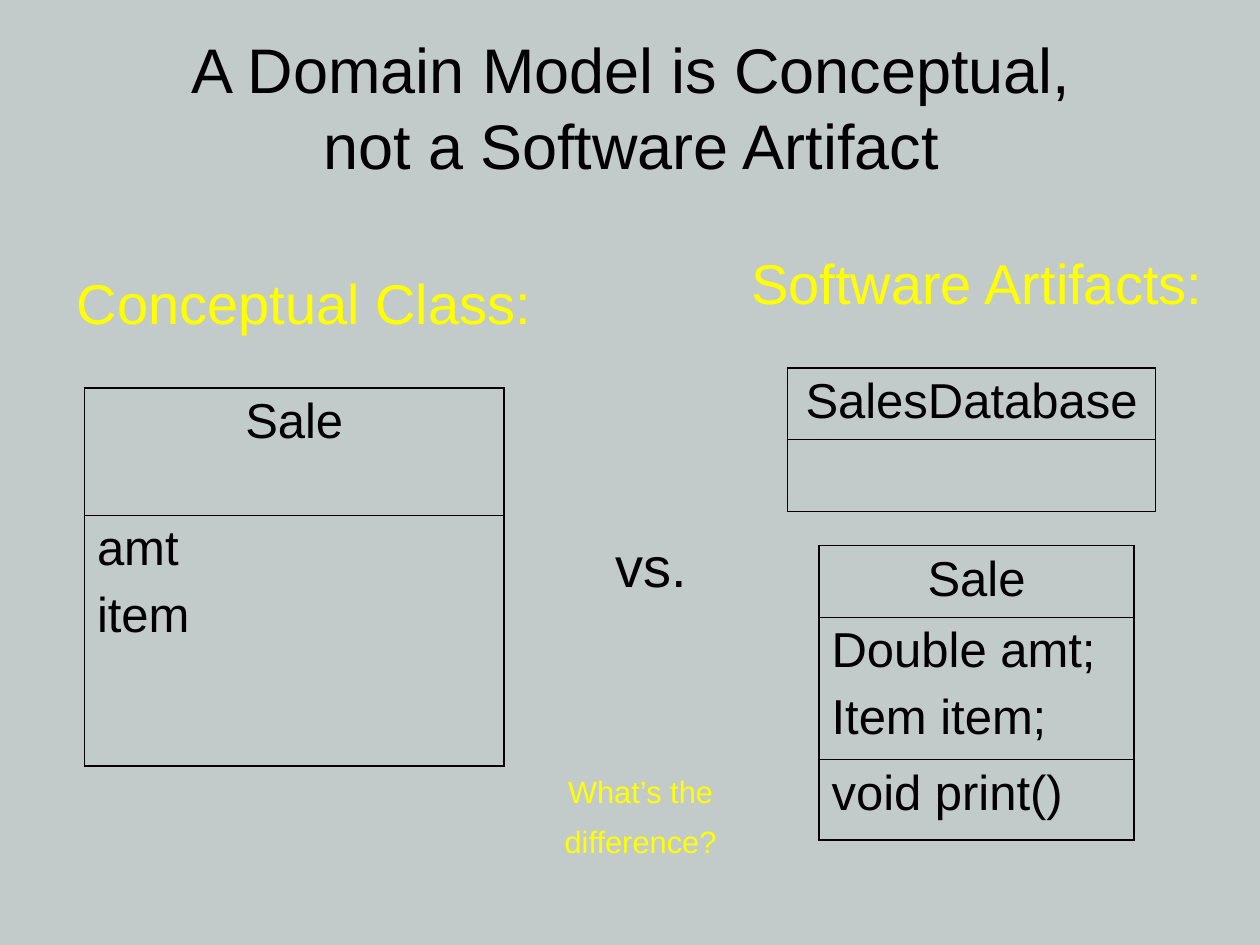
from lxml import etree
from pptx import Presentation
from pptx.dml.color import RGBColor
from pptx.enum.text import MSO_ANCHOR, MSO_AUTO_SIZE, PP_ALIGN
from pptx.oxml.ns import qn
from pptx.util import Inches, Pt

CENTER, LEFT = PP_ALIGN.CENTER, PP_ALIGN.LEFT
TOP, MIDDLE = MSO_ANCHOR.TOP, MSO_ANCHOR.MIDDLE
NO_AUTOFIT = MSO_AUTO_SIZE.NONE

FONT = "Arial"
BACKGROUND, BLACK, YELLOW = "C3CBCA", "000000", "FFFF00"
OUTER_LINE, INNER_LINE = 1.08, 0.45


def color(hex_value):
    return RGBColor.from_string(hex_value)


def write(frame, lines, size, hex_value, align=CENTER, gap=8):
    """Fill a text frame with one paragraph a line, spaced by gap points."""
    frame.text = "\n".join(lines)
    for index, paragraph in enumerate(frame.paragraphs):
        paragraph.alignment = align
        paragraph.space_before = Pt(gap if index else 0)
        for run in paragraph.runs:
            run.font.name = FONT
            run.font.size = Pt(size)
            run.font.color.rgb = color(hex_value)


def place(shape, box):
    shape.left, shape.top, shape.width, shape.height = map(Inches, box)


def add_title(slide, box, text):
    title = slide.shapes.title
    place(title, box)
    title.text_frame.auto_size = NO_AUTOFIT
    title.text_frame.vertical_anchor = MIDDLE
    write(title.text_frame, [text], 36, BLACK)


def add_body_heading(slide, box, text):
    heading = slide.placeholders[1]
    place(heading, box)
    frame = heading.text_frame
    frame.auto_size = NO_AUTOFIT
    write(frame, [text], 32, YELLOW)
    properties = frame.paragraphs[0]._p.get_or_add_pPr()
    etree.SubElement(properties, qn("a:buNone"))


def add_label(slide, box, lines, size, hex_value):
    frame = slide.shapes.add_textbox(*map(Inches, box)).text_frame
    frame.word_wrap = True
    frame.vertical_anchor = TOP
    write(frame, lines, size, hex_value)


def set_borders(cell, top, bottom):
    properties = cell._tc.get_or_add_tcPr()
    sides = [("lnL", OUTER_LINE), ("lnR", OUTER_LINE), ("lnT", top), ("lnB", bottom)]
    for position, (side, points) in enumerate(sides):
        line = etree.Element(qn(f"a:{side}"), w=str(int(Pt(points))))
        fill = etree.SubElement(line, qn("a:solidFill"))
        etree.SubElement(fill, qn("a:srgbClr"), val=BLACK)
        properties.insert(position, line)


def add_class_box(slide, left, top, width, compartments):
    """Draw a UML class from (height, lines) compartments, the name first."""
    heights = [height for height, _ in compartments]
    table = slide.shapes.add_table(
        len(compartments), 1,
        *map(Inches, (left, top, width, sum(heights)))).table
    table.first_row = table.horz_banding = False
    last = len(compartments) - 1
    for index, (height, lines) in enumerate(compartments):
        table.rows[index].height = Inches(height)
        cell = table.cell(index, 0)
        cell.fill.background()
        set_borders(cell,
                    INNER_LINE if index else OUTER_LINE,
                    INNER_LINE if index < last else OUTER_LINE)
        write(cell.text_frame, lines, 28, BLACK, LEFT if index else CENTER, gap=7)


def main():
    deck = Presentation()
    deck.slide_width, deck.slide_height = Inches(10), Inches(7.5)
    slide = deck.slides.add_slide(deck.slide_layouts[1])
    slide.background.fill.solid()
    slide.background.fill.fore_color.rgb = color(BACKGROUND)

    add_title(slide, (0.35, 0.06, 9.32, 1.57),
              "A Domain Model is Conceptual,\vnot a Software Artifact")

    add_class_box(slide, 0.67, 3.08, 3.33,
                  [(1.01, ["Sale"]), (1.99, ["amt", "item"])])
    add_class_box(slide, 6.25, 2.92, 2.92,
                  [(0.57, ["SalesDatabase"]), (0.57, [])])
    add_class_box(slide, 6.5, 4.33, 2.5,
                  [(0.57, ["Sale"]),
                   (1.13, ["Double amt;", "Item item;"]),
                   (0.64, ["void print()"])])

    add_body_heading(slide, (0.33, 2.08, 4.17, 0.83), "Conceptual Class:")
    add_label(slide, (5.67, 1.92, 4.17, 0.83), ["Software Artifacts:"], 32, YELLOW)
    add_label(slide, (4.17, 4.17, 2, 0.83), ["vs."], 32, BLACK)
    add_label(slide, (3, 6.08, 4.17, 0.83),
              ["What’s the", "difference?"], 17.6, YELLOW)

    deck.save("out.pptx")


if __name__ == "__main__":
    main()
